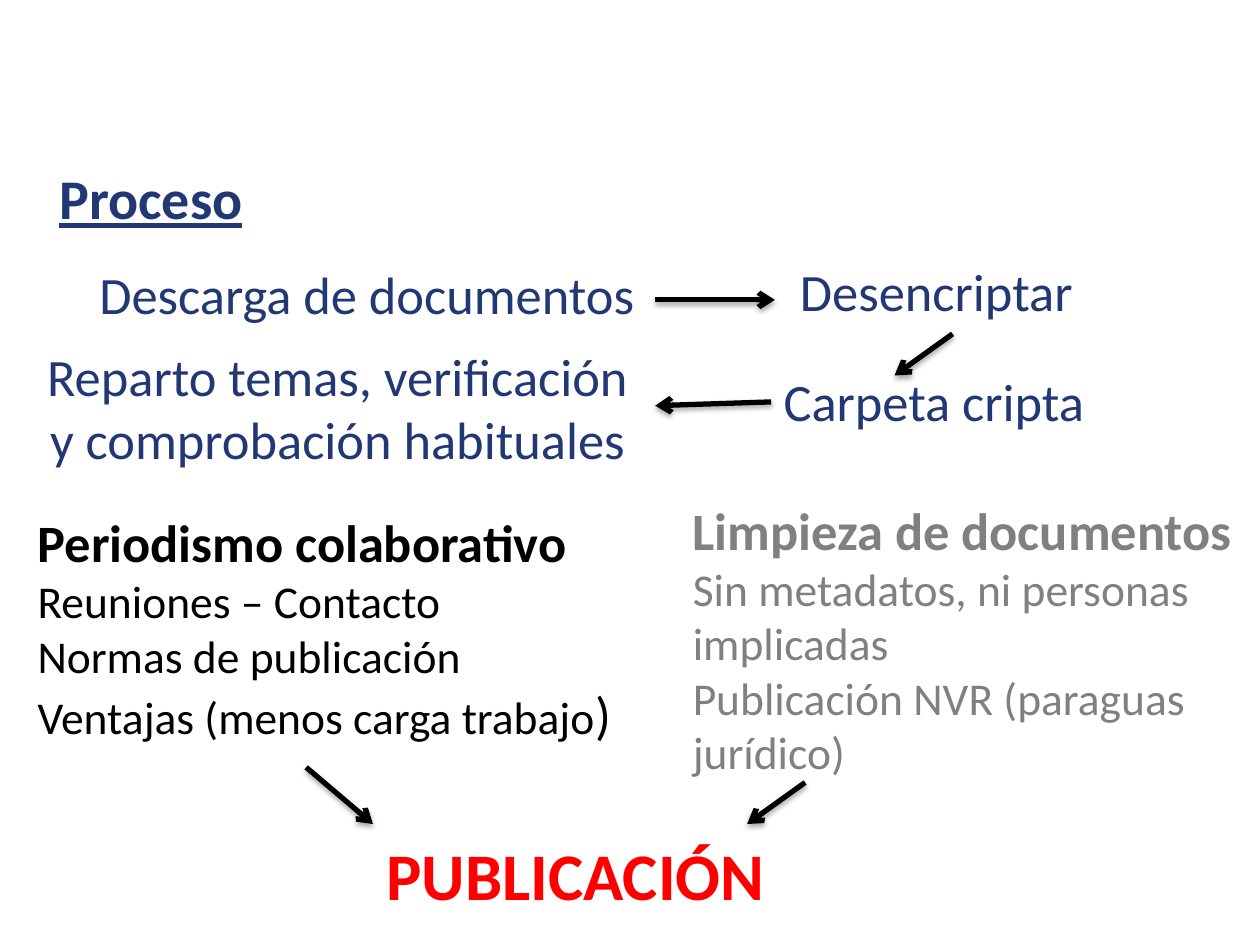
import pptx
import pptx.util
import pptx.dml.color
import pptx.enum.text
import pptx.enum.shapes
import pptx.oxml

Inches, Pt = pptx.util.Inches, pptx.util.Pt
ALIGN = pptx.enum.text.PP_ALIGN
NAVY, BLACK, GRAY, RED = "223875", "000000", "808080", "FF0000"
BIG, SMALL = 30, 26

TITLE = ("Proceso", (0.37, 1.25, 2.06, 0.84))
STEPS = [
    ("Descarga de documentos", (0.69, 2.03, 4.7, 0.61), ALIGN.LEFT),
    ("Desencriptar", (6.25, 2.01, 2.81, 0.61), ALIGN.LEFT),
    ("Carpeta cripta", (6.12, 2.88, 2.88, 0.61), ALIGN.LEFT),
    ("Reparto temas, verificación y comprobación habituales",
     (0.18, 2.68, 5, 1.11), ALIGN.CENTER),
]
GROUPS = [
    ("Periodismo colaborativo",
     ["Reuniones – Contacto", "Normas de publicación",
      ("Ventajas (menos carga trabajo", ")")],
     (0.2, 4, 5.2, 1.99), BLACK),
    ("Limpieza de documentos",
     ["Sin metadatos, ni personas implicadas",
      "Publicación NVR (paraguas jurídico)"],
     (5.4, 3.9, 4.6, 2.36), GRAY),
]
GOAL = ("PUBLICACIÓN", (2.96, 6.57, 3.22, 0.74))
ARROWS = [
    (5.2, 2.38, 6.15, 2.38),
    (7.56, 2.65, 7.1, 2.98),
    (6.12, 3.19, 5.2, 3.22),
    (6.39, 6.21, 5.93, 6.54),
    (2.43, 6.09, 2.96, 6.54),
]
NS = 'xmlns:a="http://schemas.openxmlformats.org/drawingml/2006/main"'
TAIL = f'<a:tailEnd {NS} type="arrow"/>'
SHADOW = (f'<a:effectLst {NS}><a:outerShdw blurRad="39370" dist="22860" '
          'dir="5400000" rotWithShape="0"><a:srgbClr val="000000">'
          '<a:alpha val="35000"/></a:srgbClr></a:outerShdw></a:effectLst>')


def rgb(code):
    return pptx.dml.color.RGBColor.from_string(code)


def style(para, size, color, bold=False, align=ALIGN.LEFT):
    para.alignment = align
    font = para.font
    font.name, font.size, font.bold = "Calibri", Pt(size), bold
    font.color.rgb = rgb(color)


def add_box(slide, place, rows, color, align=ALIGN.LEFT):
    box = slide.shapes.add_textbox(*map(Inches, place))
    frame = box.text_frame
    frame.word_wrap = True
    frame.auto_size = pptx.enum.text.MSO_AUTO_SIZE.SHAPE_TO_FIT_TEXT
    for i, (text, size, bold) in enumerate(rows):
        para = frame.add_paragraph() if i else frame.paragraphs[0]
        main, end = text if isinstance(text, tuple) else (text, "")
        para.add_run().text = main
        if end:
            run = para.add_run()
            run.text = end
            run.font.size = Pt(BIG)
        style(para, size, color, bold, align)


def add_title(slide, text, place):
    title = slide.shapes.title
    title.left, title.top, title.width, title.height = map(Inches, place)
    frame = title.text_frame
    frame.text = text
    frame.vertical_anchor = pptx.enum.text.MSO_ANCHOR.TOP
    para = frame.paragraphs[0]
    style(para, 32, NAVY, True)
    para.font.underline = True


def add_arrow(slide, ends):
    kind = pptx.enum.shapes.MSO_CONNECTOR.STRAIGHT
    arrow = slide.shapes.add_connector(kind, *map(Inches, ends))
    arrow.line.width = Pt(3)
    arrow.line.color.rgb = rgb(BLACK)
    arrow.line._get_or_add_ln().append(pptx.oxml.parse_xml(TAIL))
    arrow._element.spPr.append(pptx.oxml.parse_xml(SHADOW))


def main():
    deck = pptx.Presentation()
    deck.slide_width, deck.slide_height = Inches(10), Inches(7.5)
    slide = deck.slides.add_slide(deck.slide_layouts[5])
    add_title(slide, *TITLE)
    for text, place, align in STEPS:
        add_box(slide, place, [(text, BIG, False)], NAVY, align)
    for head, lines, place, color in GROUPS:
        rows = [(head, BIG, True)] + [(line, SMALL, False) for line in lines]
        add_box(slide, place, rows, color)
    text, place = GOAL
    add_box(slide, place, [(text, 38, True)], RED, ALIGN.CENTER)
    for ends in ARROWS:
        add_arrow(slide, ends)
    deck.save("out.pptx")


if __name__ == "__main__":
    main()
